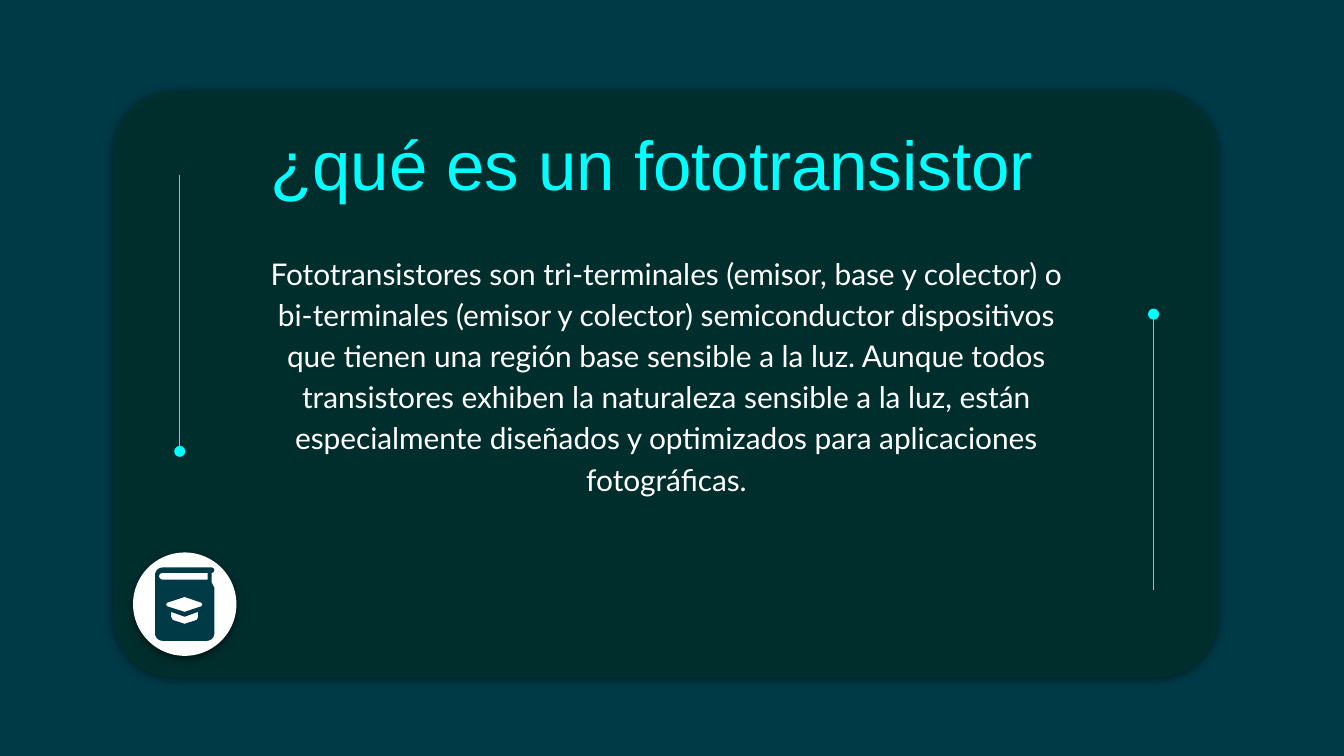
from math import cos, radians, sin

from lxml.etree import SubElement
from pptx import Presentation
from pptx.dml.color import RGBColor
from pptx.enum.shapes import MSO_CONNECTOR as Connector, MSO_SHAPE as Shape
from pptx.enum.text import MSO_ANCHOR as Anchor, PP_ALIGN as Align
from pptx.oxml.ns import qn
from pptx.util import Pt

NAVY = RGBColor(0x00, 0x3A, 0x47)
GREEN = RGBColor(0x00, 0x31, 0x2E)
CYAN = RGBColor(0x00, 0xFF, 0xFF)
WHITE = RGBColor(0xFF, 0xFF, 0xFF)

TITLE = "¿qué es un fototransistor"
BODY = (
    "Fototransistores son tri-terminales (emisor, base y colector) o "
    "bi-terminales (emisor y colector) semiconductor dispositivos que tienen "
    "una región base sensible a la luz. Aunque todos transistores exhiben la "
    "naturaleza sensible a la luz, están especialmente diseñados y "
    "optimizados para aplicaciones fotográficas."
)


def paint(shape, color):
    shape.shadow.inherit = False
    shape.fill.solid()
    shape.fill.fore_color.rgb = color
    shape.line.fill.background()


def add_soft_shadow(shape):
    effects = shape._element.spPr.find(qn("a:effectLst"))
    shadow = SubElement(effects, qn("a:outerShdw"), blurRad=str(Pt(4.5)),
                        dist=str(Pt(1.5)), dir="5400000", algn="bl",
                        rotWithShape="0")
    black = SubElement(shadow, qn("a:srgbClr"), val="000000")
    SubElement(black, qn("a:alpha"), val="50000")


def add_card(page, left, top, width, height):
    card = page.shapes.add_shape(Shape.ROUNDED_RECTANGLE, Pt(left), Pt(top),
                                 Pt(width), Pt(height))
    card.adjustments[0] = 0.105
    paint(card, GREEN)
    color = card._element.spPr.find(qn("a:solidFill"))[0]
    SubElement(color, qn("a:alpha"), val="85000")
    add_soft_shadow(card)


def add_text(page, left, top, width, height, text, font, size, color,
             anchor=Anchor.TOP, spacing=1.0):
    box = page.shapes.add_textbox(Pt(left), Pt(top), Pt(width), Pt(height))
    frame = box.text_frame
    frame.word_wrap = True
    frame.vertical_anchor = anchor
    frame.margin_left = frame.margin_right = Pt(7.2)
    frame.margin_top = frame.margin_bottom = Pt(7.2)
    frame.text = text
    para = frame.paragraphs[0]
    para.alignment = Align.CENTER
    para.line_spacing = spacing
    span = para.runs[0]
    span.font.name = font
    span.font.size = Pt(size)
    span.font.color.rgb = color


def arc(x, y, radius, start, sweep=90, steps=8):
    angles = [radians(start + sweep * i / steps) for i in range(steps + 1)]
    return [(x + radius * cos(a), y + radius * sin(a)) for a in angles]


def add_book(page, left, top, width, height):
    """Book outline with the pages, cap and tassel cut out of it."""
    corner = 4
    cover = [
        *arc(corner, corner, corner, 180),
        *arc(width - 1.45, 1.45, 1.45, -90, 180),
        (width - 1.5, 7.9),
        (width, 10.8),
        *arc(width - corner, height - corner, corner, 0),
        *arc(corner, height - corner, corner, 90),
    ]
    pages = [(28.1, 2.9), (28.1, 6.5), *arc(3.9, 4.7, 1.8, 90, 180)]
    cap = [(15.8, 15.8), (24.8, 18.9), (25.4, 19.8), (24.8, 20.8),
           (15.8, 23.8), (6.4, 20.8), (5.8, 19.8), (6.4, 18.9)]
    band = [(23, 23.8), (23, 26.6), (22.3, 28.1), (15.8, 30.2), (9.4, 28.1),
            (8.6, 26.6), (8.6, 23.8), (14.4, 25.9), (15.8, 26.4), (17.2, 25.9)]

    units = 100  # outline units per point
    outlines = [[(x * units, y * units) for x, y in outline]
                for outline in (cover, pages, cap, band)]
    builder = page.shapes.build_freeform(*outlines[0][0], scale=Pt(1) / units)
    for index, outline in enumerate(outlines):
        if index:
            builder.move_to(*outline[0])
        builder.add_line_segments(outline[1:], close=True)
    paint(builder.convert_to_shape(Pt(left), Pt(top)), NAVY)


def add_badge(page, left, top, size):
    disc = page.shapes.add_shape(Shape.OVAL, Pt(left), Pt(top), Pt(size), Pt(size))
    paint(disc, WHITE)
    add_soft_shadow(disc)
    width, height = 31.7, 39.3
    add_book(page, left + (size - width) / 2, top + (size - height) / 2,
             width, height)


def add_pin(page, x, dot_y, end_y):
    pin = page.shapes.add_connector(Connector.STRAIGHT, Pt(x), Pt(dot_y),
                                    Pt(x), Pt(end_y))
    pin.line.color.rgb = CYAN
    pin.line.width = Pt(0.75)
    SubElement(pin.line._get_or_add_ln(), qn("a:headEnd"), type="oval")
    SubElement(pin._element.spPr, qn("a:effectLst"))


def build_definition(page, left, top, width, height):
    add_card(page, left, top, width, height)
    # Title and definition
    add_text(page, left + 66.2, top + 78.5, 460.8, 207.4, BODY, "Lato", 16,
             WHITE, spacing=1.15)
    add_text(page, left + 66.2, top + 23, 445, 45.4, TITLE, "Arial", 37, CYAN,
             anchor=Anchor.BOTTOM)
    # Book badge in the lower left corner
    add_badge(page, left + 10.8, top + 247.7, 55.4)
    # Pins on both sides
    pin_length = 148
    left_dot, right_dot = top + 193.5, top + 120
    add_pin(page, left + 35.8, left_dot, left_dot - pin_length)
    add_pin(page, left + 557.5, right_dot, right_dot + pin_length)


def main():
    deck = Presentation()
    deck.slide_width, deck.slide_height = Pt(720), Pt(405)
    page = deck.slides.add_slide(deck.slide_layouts[6])
    page.background.fill.solid()
    page.background.fill.fore_color.rgb = NAVY
    build_definition(page, 60.5, 48.3, 592, 314.6)
    deck.save("out.pptx")


if __name__ == "__main__":
    main()
